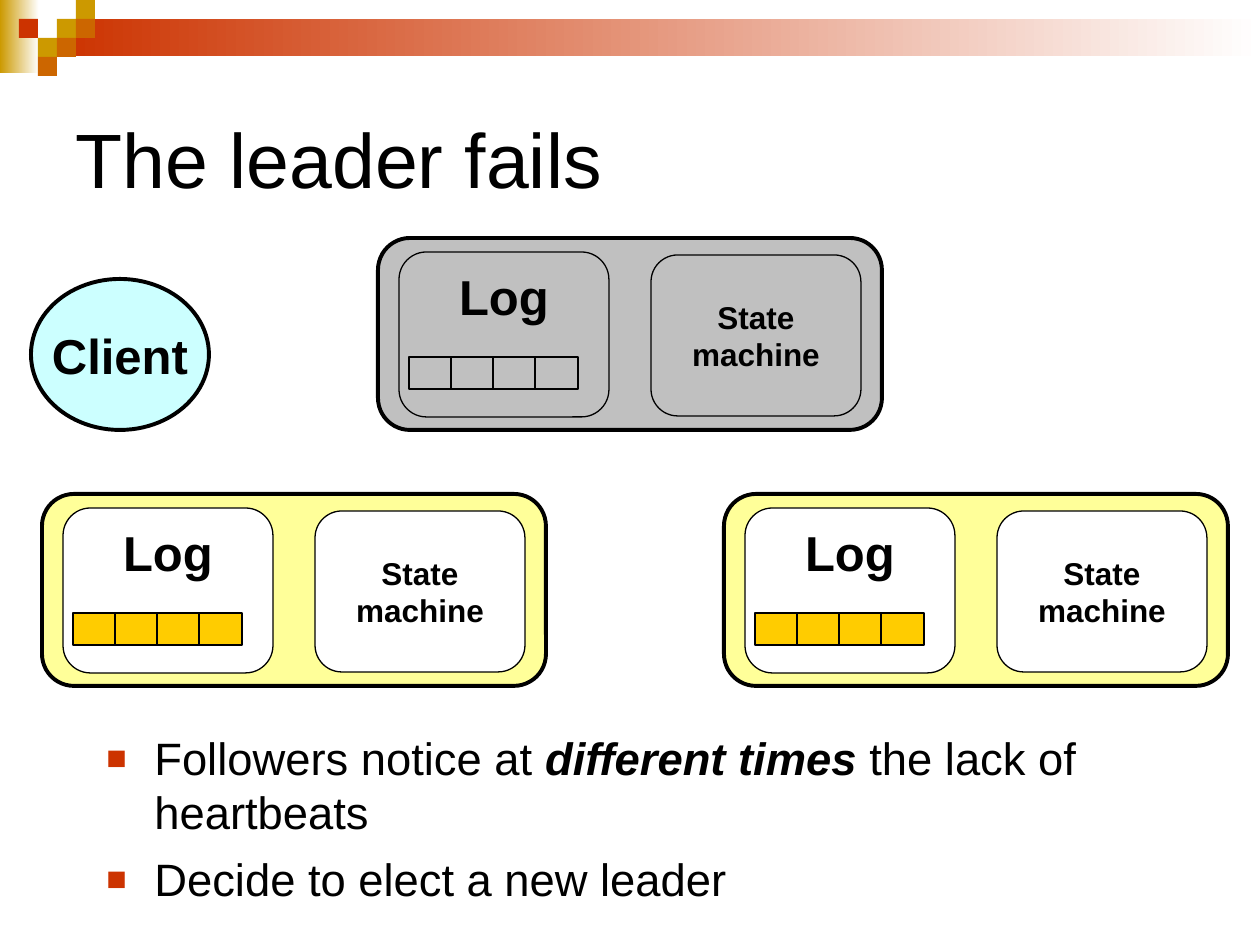
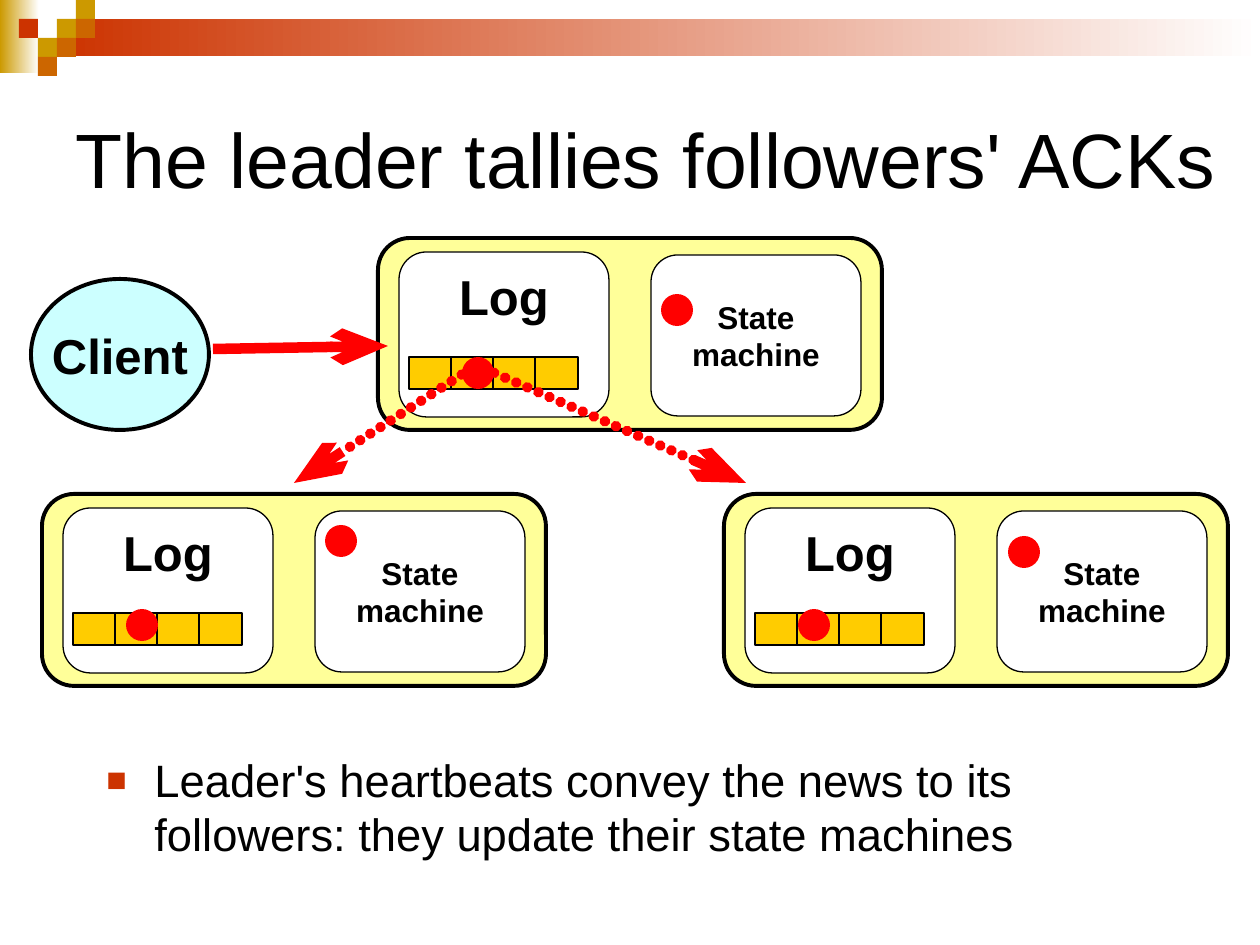
from dataclasses import dataclass
from lxml import etree
from pptx import Presentation
from pptx.dml.color import RGBColor
from pptx.enum.shapes import MSO_CONNECTOR, MSO_SHAPE
from pptx.enum.text import MSO_ANCHOR, MSO_AUTO_SIZE, PP_ALIGN
from pptx.oxml import parse_xml
from pptx.oxml.ns import nsdecls, qn
from pptx.util import Pt

PX = 914400 / 126  # one px in EMU


@dataclass(frozen=True)
class Theme:
    font: str = "Arial"
    ink: str = "000000"
    white: str = "FFFFFF"
    gold: str = "CC9900"
    rust: str = "CC3300"
    amber: str = "CC6600"
    grey: str = "C0C0C0"
    cream: str = "FFFF99"
    cell: str = "FFCC00"
    sky: str = "CCFFFF"
    red: str = "FF0000"
    title: float = 44
    body: float = 25.9
    label: float = 28
    small: float = 18
    thick: float = 2.25
    thin: float = 0.75
    arrow: float = 6


T = Theme()


def draw(shapes, kind, box, fill, edge=0):
    """Add a preset shape; a pair of colours as fill gives a gradient."""
    shape = shapes.add_shape(kind, *[round(n * PX) for n in box])
    shape.shadow.inherit = False
    if isinstance(fill, tuple):
        shape.fill.gradient()
        shape.fill.gradient_angle = 0
        for stop, tint, place in zip(shape.fill.gradient_stops, fill, (0, 1)):
            stop.color.rgb = RGBColor.from_string(tint)
            stop.position = place
    else:
        shape.fill.solid()
        shape.fill.fore_color.rgb = RGBColor.from_string(fill)
    if edge:
        shape.line.color.rgb = RGBColor.from_string(T.ink)
        shape.line.width = Pt(edge)
    else:
        shape.line.fill.background()
    return shape


def say(par, text, size, bold=False, slant=False):
    """Add one run of text to a paragraph."""
    run = par.add_run()
    run.text = text
    run.font.name = T.font
    run.font.size = Pt(size)
    run.font.bold = bold
    run.font.italic = slant
    run.font.color.rgb = RGBColor.from_string(T.ink)


RECT, ROUND, OVAL = MSO_SHAPE.RECTANGLE, MSO_SHAPE.ROUNDED_RECTANGLE, MSO_SHAPE.OVAL
TILE = 19
TILES = [(3, 1, T.gold), (4, 0, T.gold), (4, 1, T.amber), (2, 2, T.gold),
         (1, 1, T.rust), (3, 2, T.amber), (2, 3, T.amber)]
LEADER = (378, 238)
PEERS = [(42, 494), (724, 494)]
DOTS = [(462, 357), (126, 609), (798, 609), (661, 294), (325, 525), (1008, 536)]
# from x, from y, to x, to y, dotted
ARROWS = [(213, 349, 388, 346, False), (472, 368, 294, 483, True),
          (483, 368, 746, 483, True)]

# title, top and height of the text, bullets, leader is down, dots, arrows
SLIDES = [
    ("The leader fails", 724, 199,
     [[("Followers notice at ", False), ("different times", True),
       (" the lack of heartbeats", False)],
      [("Decide to elect a new leader", False)]],
     True, [], []),
    ("The leader tallies followers' ACKs", 746, 126,
     [[("Leader's heartbeats convey the news to its followers: "
        "they update their state machines", False)]],
     False, DOTS, ARROWS),
]

deck = Presentation()
deck.slide_width = round(1260 * PX)
deck.slide_height = round(945 * PX)
layout = deck.slide_layouts[5]
tree = layout.shapes[0].element.getparent()

for head, top, high, points, down, dots, arrows in SLIDES:
    slide = deck.slides.add_slide(layout)
    shapes = slide.shapes

    # The bands and tiles go to the layout once, by way of the first slide
    if len(deck.slides) == 1:
        bands = [draw(shapes, RECT, (0, 0, 39, 73), (T.gold, T.white)),
                 draw(shapes, RECT, (57, 19, 1203, 37), (T.rust, T.white))]
        for col, row, tint in TILES:
            box = (col * TILE, row * TILE, TILE, TILE)
            bands.append(draw(shapes, RECT, box, tint))
        for mark, band in enumerate(bands, 101):
            band.element.nvSpPr.cNvPr.set("id", str(mark))
            tree.append(band.element)

    title = shapes.title
    title.left, title.top, title.width, title.height = [
        round(n * PX) for n in (63, 63, 1197, 189)]
    frame = title.text_frame
    frame.auto_size = MSO_AUTO_SIZE.NONE
    frame.vertical_anchor = MSO_ANCHOR.MIDDLE
    frame.paragraphs[0].alignment = PP_ALIGN.LEFT
    say(frame.paragraphs[0], head, T.title)

    body = shapes.add_textbox(*[round(n * PX) for n in (94, top, 1134, high)])
    frame = body.text_frame
    frame.word_wrap = True
    for spot, runs in enumerate(points):
        par = frame.add_paragraph() if spot else frame.paragraphs[0]
        par.space_before = Pt(7)
        props = par._p.get_or_add_pPr()
        props.set("marL", str(round(48 * PX)))
        props.set("indent", str(round(-48 * PX)))
        tint = etree.SubElement(props, qn("a:buClr"))
        etree.SubElement(tint, qn("a:srgbClr"), val=T.rust)
        etree.SubElement(props, qn("a:buSzPct"), val="75000")
        etree.SubElement(props, qn("a:buFont"), typeface=T.font)
        etree.SubElement(props, qn("a:buChar"), char="■")
        for text, strong in runs:
            say(par, text, T.body, strong, strong)

    labels = []
    for x, y in [LEADER] + PEERS:
        dead = down and (x, y) == LEADER
        case, panel, cell = (T.grey,) * 3 if dead else (T.cream, T.white, T.cell)
        server = shapes.add_group_shape().shapes
        draw(server, ROUND, (x, y, 504, 192), case, T.thick)
        state = draw(server, ROUND, (x + 273, y + 17, 210, 161), panel, T.thin)
        log = draw(server, ROUND, (x + 21, y + 14, 210, 165), panel, T.thin)
        for step in range(4):
            draw(server, RECT, (x + 31 + 42 * step, y + 119, 43, 32), cell, T.thin)
        labels += [(state, ["State", "machine"], T.small, MSO_ANCHOR.MIDDLE),
                   (log, ["Log"], T.label, MSO_ANCHOR.TOP)]

    client = draw(shapes, OVAL, (31, 279, 178, 151), T.sky, T.thick)
    labels.append((client, ["Client"], T.label, MSO_ANCHOR.MIDDLE))
    for shape, lines, size, anchor in labels:
        frame = shape.text_frame
        frame.word_wrap = False
        frame.vertical_anchor = anchor
        for spot, text in enumerate(lines):
            par = frame.add_paragraph() if spot else frame.paragraphs[0]
            par.alignment = PP_ALIGN.CENTER
            say(par, text, size, True)

    for x, y in dots:
        draw(shapes, OVAL, (x, y, 32, 32), T.red)

    for *ends, dotted in arrows:
        arrow = shapes.add_connector(
            MSO_CONNECTOR.STRAIGHT, *[round(n * PX) for n in ends])
        arrow.line.color.rgb = RGBColor.from_string(T.red)
        arrow.line.width = Pt(T.arrow)
        line = arrow.element.spPr.get_or_add_ln()
        if dotted:
            line.set("cap", "rnd")
            line.append(parse_xml(
                f'<a:custDash {nsdecls("a")}><a:ds d="100000" sp="15000"/></a:custDash>'))
        etree.SubElement(line, qn("a:tailEnd"), type="arrow", w="med", len="lg")
        etree.SubElement(arrow.element.spPr, qn("a:effectLst"))

deck.save("out.pptx")
